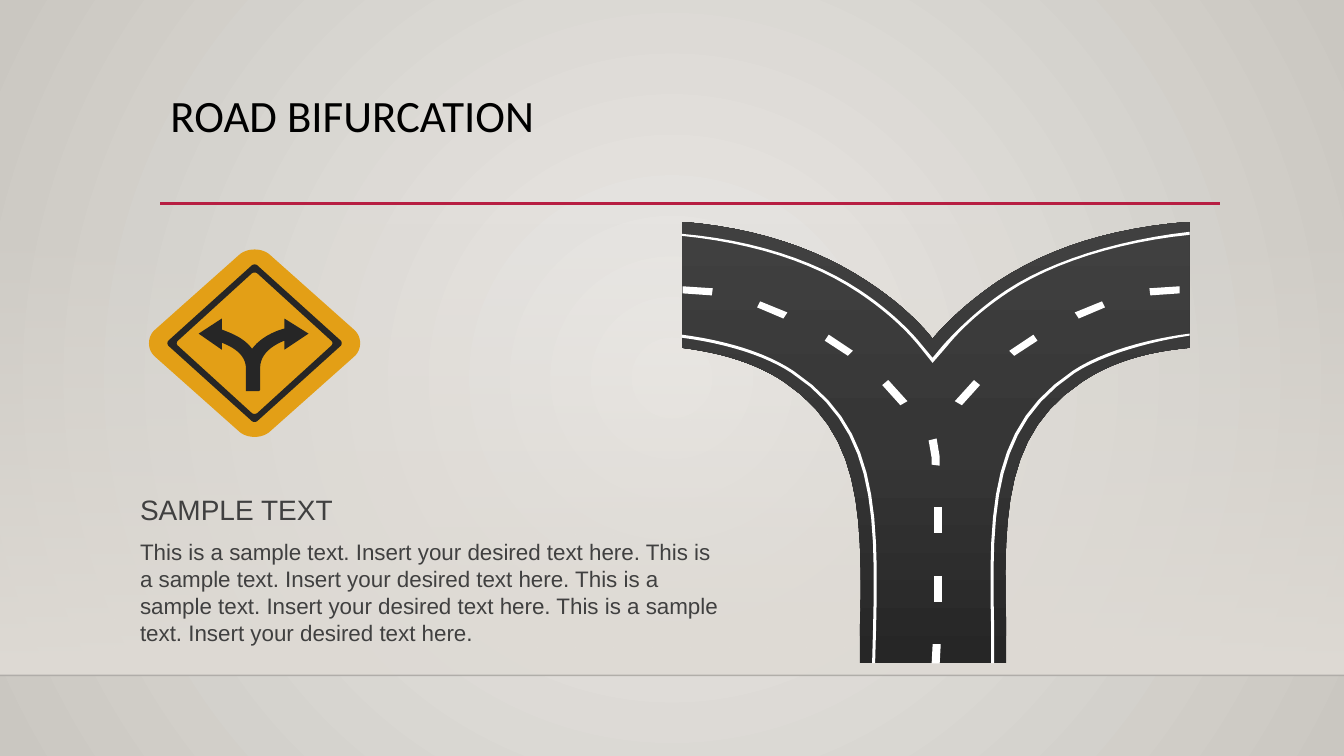
from copy import deepcopy

from lxml import etree
from pptx import Presentation
from pptx import util as u
from pptx.dml.color import RGBColor
from pptx.enum import shapes, text
from pptx.oxml.ns import qn

# The slide is a grid of 1333 columns by 750 rows
CELL = u.Inches(0.01)
COLUMNS, ROWS = 1333, 750
CURVE_STEPS = 12

BLACK = RGBColor(0x00, 0x00, 0x00)
NEAR_BLACK = RGBColor(0x00, 0x00, 0x01)
WHITE = RGBColor(0xFF, 0xFF, 0xFF)
CRIMSON = RGBColor(0xB7, 0x1E, 0x42)
GREY = RGBColor(0x40, 0x40, 0x40)
AMBER = RGBColor(0xE3, 0x9F, 0x16)
ASPHALT_DARK = RGBColor(0x26, 0x26, 0x26)
ASPHALT_MID = RGBColor(0x36, 0x36, 0x36)
STONE_LIGHT = RGBColor(0xEC, 0xEA, 0xE7)
STONE_DARK = RGBColor(0xCA, 0xC7, 0xC1)
STONE = RGBColor(0xDF, 0xDB, 0xD5)


def write_text(box, words, size, font="Arial", color=GREY, spacing=1.0):
    frame = box.text_frame
    frame.word_wrap = True
    frame.auto_size = text.MSO_AUTO_SIZE.NONE
    frame.vertical_anchor = text.MSO_ANCHOR.TOP
    paragraph = frame.paragraphs[0]
    paragraph.alignment = text.PP_ALIGN.LEFT
    paragraph.line_spacing = spacing
    run = paragraph.add_run()
    run.text = words
    run.font.size = u.Pt(size)
    run.font.name = font
    run.font.color.rgb = color


def draw_outline(contours, color):
    """Fill closed contours; a pair is a corner, six numbers are a Bezier curve."""
    builder = None
    for start, *segments in contours:
        points = [start]
        for segment in segments:
            if len(segment) == 2:
                points.append(segment)
                continue
            knots = [points[-1], segment[:2], segment[2:4], segment[4:]]
            for step in range(1, CURVE_STEPS + 1):
                t = step / CURVE_STEPS
                weights = ((1 - t) ** 3, 3 * t * (1 - t) ** 2, 3 * t * t * (1 - t), t ** 3)
                points.append(tuple(sum(w * knot[axis] for w, knot in zip(weights, knots))
                                    for axis in (0, 1)))
        scaled = [(x * CELL, y * CELL) for x, y in points]
        if builder is None:
            builder = slide.shapes.build_freeform(*scaled[0], scale=1.0)
        else:
            builder.move_to(*scaled[0])
        builder.add_line_segments(scaled[1:], close=True)
    outline = builder.convert_to_shape()
    outline.shadow.inherit = False
    outline.fill.solid()
    outline.fill.fore_color.rgb = color
    outline.line.fill.background()
    return outline


deck = Presentation()
deck.slide_width, deck.slide_height = COLUMNS * CELL, ROWS * CELL
slide = deck.slides.add_slide(deck.slide_layouts[5])

# Wall, floor edge and title rule
wall = slide.shapes.add_shape(shapes.MSO_SHAPE.RECTANGLE, 0, 221 * CELL,
                              COLUMNS * CELL, 449 * CELL)
wall.shadow.inherit = False
wall.line.fill.background()

for left, right, row, color, weight, opacity in (
        (0, COLUMNS, 670, NEAR_BLACK, 1, 20),
        (159, 1210, 202, CRIMSON, 2.5, 100)):
    rule = slide.shapes.add_connector(shapes.MSO_CONNECTOR.STRAIGHT, left * CELL,
                                      row * CELL, right * CELL, row * CELL)
    rule.line.color.rgb = color
    rule.line.width = u.Pt(weight)
    etree.SubElement(rule._element.spPr, qn("a:effectLst"))
    if opacity < 100:
        tint = rule._element.xpath(".//a:srgbClr")[0]
        etree.SubElement(tint, qn("a:alpha")).set("val", str(opacity * 1000))

title = slide.shapes.title
title.left, title.top, title.width, title.height = (
    n * CELL for n in (159, 88, 1050, 115))
write_text(title, "ROAD BIFURCATION", 32, font="Calibri", color=BLACK, spacing=0.9)

# Road surface
road = draw_outline([[
    (990, 279), (965, 296, 943, 315, 925, 336), (908, 315, 886, 296, 860, 279),
    (810, 246, 749, 226, 676, 220), (676, 345), (717, 350, 751, 361, 778, 379),
    (852, 429, 856, 504, 853, 621), (853, 658), (998, 658), (998, 621),
    (995, 504, 998, 429, 1073, 379), (1101, 360, 1136, 349, 1180, 345),
    (1180, 220), (1104, 226, 1042, 245, 990, 279)]], ASPHALT_DARK)

# Gradients of background, wall and road
for owner, fill, colors, angle in (
        (slide, slide.background.fill, (STONE_LIGHT, STONE_DARK), None),
        (wall, wall.fill, (STONE, STONE), 270),
        (road, road.fill, (ASPHALT_DARK, ASPHALT_MID, GREY), 90)):
    fill.gradient()
    stop_list = owner._element.xpath(".//a:gsLst")[0]
    if len(colors) == 3:
        stop_list.insert(1, deepcopy(stop_list[0]))
    for index, (stop, color) in enumerate(zip(fill.gradient_stops, colors)):
        stop.position = index / (len(colors) - 1)
        stop.color.rgb = color
    if angle:
        fill.gradient_angle = angle
    else:
        gradient = stop_list.getparent()
        gradient.remove(gradient.find(qn("a:lin")))
        radial = etree.SubElement(gradient, qn("a:path"), path="circle")
        etree.SubElement(radial, qn("a:fillToRect"),
                         dict.fromkeys("ltrb", "50000"))
clear_end = wall._element.xpath(".//a:gs[1]/a:srgbClr")[0]
etree.SubElement(clear_end, qn("a:alpha")).set("val", "0")

# Lane dashes: the right branch mirrors the left one
MIRROR = 1847
branch_dashes = (
    [(677, 284), (677, 291), (706, 293), (707, 286)],
    [(754, 299), (751, 305), (777, 316), (781, 310)],
    [(822, 332), (818, 338), (841, 353), (846, 348)],
    [(875, 382), (893, 402), (900, 398), (881, 377)],
)
for dash in branch_dashes:
    draw_outline([dash], WHITE)
    draw_outline([[(MIRROR - x, y) for x, y in dash]], WHITE)
draw_outline([[(932, 462), (932, 453), (931, 447, 929, 435, 929, 435), (921, 437),
               (922, 442, 923, 448, 924, 454), (924, 461)]], WHITE)
for top in (503, 571):
    draw_outline([[(926, top), (926, top + 26), (934, top + 26), (934, top)]], WHITE)
draw_outline([[(924, 658), (932, 658), (933, 639), (925, 639)]], WHITE)

# Edge lines: left, right and the fork
edge_lines = (
    [(787, 368), (760, 350, 721, 338, 676, 332), (676, 335),
     (721, 341, 759, 353, 785, 370), (865, 423, 869, 500, 866, 622),
     (865, 658), (868, 658), (869, 622), (872, 499, 868, 422, 787, 368)],
    [(983, 622), (983, 658), (986, 658), (986, 622), (983, 500, 987, 423, 1066, 370),
     (1094, 352, 1140, 339, 1180, 333), (1180, 331),
     (1140, 336, 1092, 349, 1064, 368), (984, 421, 980, 499, 983, 622)],
    [(998, 288), (974, 304, 953, 323, 935, 343), (925, 355), (915, 343),
     (899, 323, 877, 304, 853, 288), (808, 258, 746, 238, 676, 232), (676, 234),
     (746, 241, 806, 260, 851, 290), (875, 306, 896, 324, 913, 345), (925, 360),
     (938, 345), (955, 324, 976, 306, 1000, 290), (1043, 261, 1110, 240, 1180, 233),
     (1180, 230), (1109, 238, 1042, 259, 998, 288)],
)
for edge_line in edge_lines:
    draw_outline([edge_line], WHITE)

# Captions
for words, size, top, width, height in (
        ("This is a sample text. Insert your desired text here. " * 4, 16, 529, 595, 103),
        ("SAMPLE TEXT", 20, 484, 578, 38)):
    caption = slide.shapes.add_textbox(129 * CELL, top * CELL, width * CELL, height * CELL)
    write_text(caption, words.strip(), size)

# Road sign: plate and border are rounded diamonds around one centre
SIGN_X, SIGN_Y = 252.5, 340.5
plate, border_outside, border_inside = (98, 14, 16, 87), (85, 3, 3, 77), (76, 2.5, 3, 69)
for diamonds, color in (([plate], AMBER), ([border_outside, border_inside], ASPHALT_DARK)):
    contours = []
    for side_x, side_y, tip_x, tip_y in diamonds:
        bulge_x, bulge_y = side_x + 0.64 * side_y, tip_y + tip_x / 2
        half_y, half_x = side_y / 2, tip_x / 2
        corners = [
            (side_x, -side_y), (bulge_x, -half_y, bulge_x, half_y, side_x, side_y),
            (tip_x, tip_y), (half_x, bulge_y, -half_x, bulge_y, -tip_x, tip_y),
            (-side_x, side_y), (-bulge_x, half_y, -bulge_x, -half_y, -side_x, -side_y),
            (-tip_x, -tip_y), (-half_x, -bulge_y, half_x, -bulge_y, tip_x, -tip_y)]
        contours.append([tuple(n + (SIGN_Y if i % 2 else SIGN_X) for i, n in enumerate(corner))
                         for corner in corners])
    draw_outline(contours, color)

# Forked arrow on the sign
draw_outline([[
    (306, 331), (282, 316), (282, 326), (274, 328, 259, 334, 250, 346),
    (242, 335, 228, 330, 220, 327), (220, 316), (197, 331), (220, 347), (220, 340),
    (230, 344, 244, 351, 244, 366), (244, 388), (257, 388), (258, 387), (258, 365),
    (258, 350, 272, 342, 282, 338), (282, 347)]], ASPHALT_DARK)

deck.save("out.pptx")
